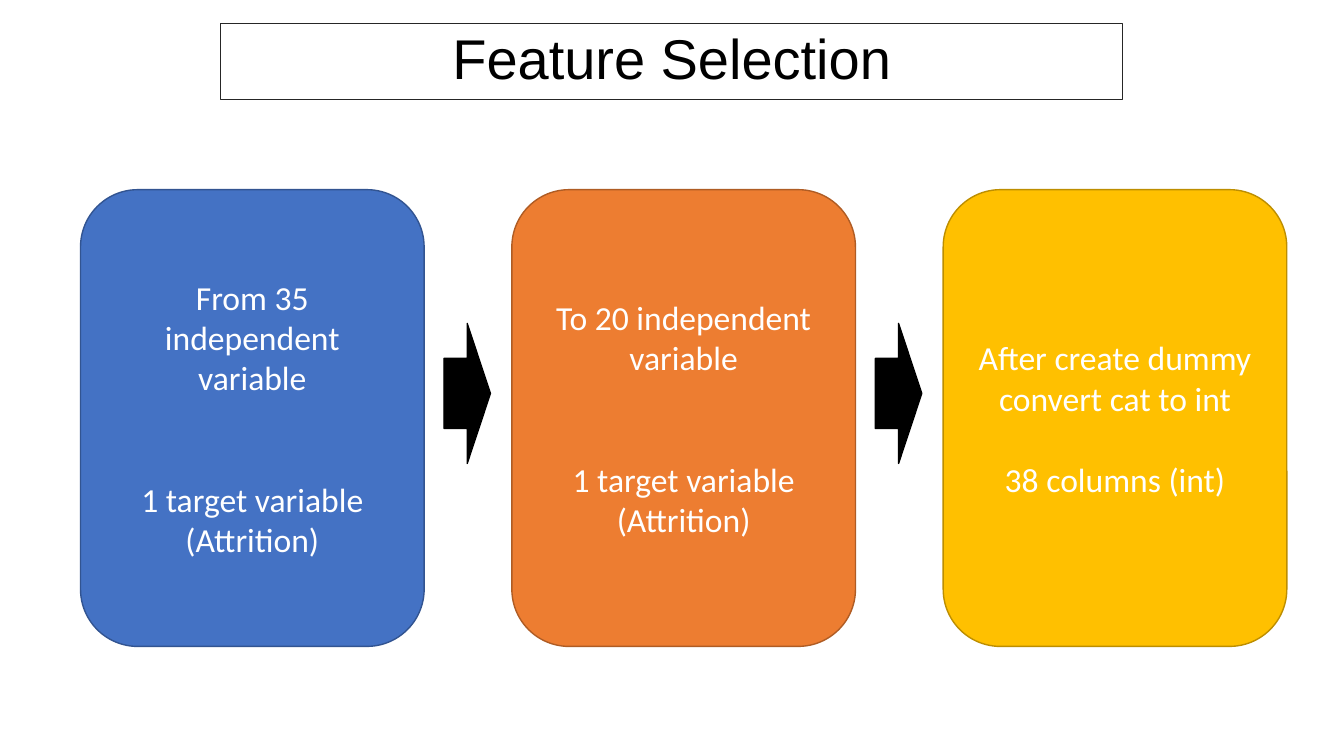
from dataclasses import dataclass

from pptx import Presentation
from pptx import util as u
from pptx.dml.color import RGBColor
from pptx.enum import shapes, text

WHITE = RGBColor(0xFF, 0xFF, 0xFF)
BLACK = RGBColor(0x00, 0x00, 0x00)
CHARCOAL = RGBColor(0x26, 0x26, 0x26)
BLUE = RGBColor(0x44, 0x72, 0xC4)
DARK_BLUE = RGBColor(0x32, 0x54, 0x91)
ORANGE = RGBColor(0xED, 0x7D, 0x31)
DARK_ORANGE = RGBColor(0xAF, 0x5C, 0x24)
GOLD = RGBColor(0xFF, 0xC0, 0x00)
DARK_GOLD = RGBColor(0xBD, 0x8E, 0x00)

# Card grid and the arrows between the cards, in centimetres
CARD_LEFT, CARD_TOP, CARD_WIDTH, CARD_HEIGHT = 2.03, 4.78, 8.66, 11.51
CARD_PITCH = 10.87
ARROW_OFFSET, ARROW_TOP, ARROW_WIDTH, ARROW_HEIGHT = 9.16, 8.15, 1.17, 3.53

HEADING_FONT = {"name": "Arial", "size": u.Pt(40)}
CARD_FONT = {"name": "Calibri", "size": u.Pt(24)}


@dataclass(frozen=True)
class Stage:
    lines: tuple[str, ...]
    gap: float
    fill: RGBColor
    outline: RGBColor


STAGES = (
    Stage(("From 35 independent variable", "1 target variable (Attrition)"),
          58, BLUE, DARK_BLUE),
    Stage(("To 20 independent variable", "1 target variable (Attrition)"),
          58, ORANGE, DARK_ORANGE),
    Stage(("After create dummy convert cat to int", "38 columns (int)"),
          29, GOLD, DARK_GOLD),
)


def paint(shape, fill: RGBColor, outline: RGBColor, width: float) -> None:
    shape.fill.solid()
    shape.fill.fore_color.rgb = fill
    shape.line.color.rgb = outline
    shape.line.width = u.Pt(width)


def write(shape, lines: tuple[str, ...], font_values: dict, color: RGBColor,
          gap: float = 0, spacing: float = 1.0) -> None:
    frame = shape.text_frame
    frame.word_wrap = True
    frame.auto_size = text.MSO_AUTO_SIZE.NONE
    frame.vertical_anchor = text.MSO_ANCHOR.MIDDLE
    frame.text = "\n".join(lines)
    for index, paragraph in enumerate(frame.paragraphs):
        paragraph.alignment = text.PP_ALIGN.CENTER
        paragraph.line_spacing = spacing
        paragraph.space_before = u.Pt(gap if index else 0)
        font = paragraph.runs[0].font
        for name, value in font_values.items():
            setattr(font, name, value)
        font.color.rgb = color


def add_block(slide, kind: shapes.MSO_SHAPE, left: float, top: float,
              width: float, height: float, fill: RGBColor, outline: RGBColor):
    block = slide.shapes.add_shape(
        kind, u.Cm(left), u.Cm(top), u.Cm(width), u.Cm(height))
    block.shadow.inherit = False
    paint(block, fill, outline, 1)
    return block


def main() -> None:
    deck = Presentation()
    deck.slide_width, deck.slide_height = u.Cm(33.87), u.Cm(19.05)
    slide = deck.slides.add_slide(deck.slide_layouts.get_by_name("Title Only"))

    # Heading
    heading = slide.shapes.title
    heading.left, heading.top = u.Cm(5.56), u.Cm(0.58)
    heading.width, heading.height = u.Cm(22.73), u.Cm(1.93)
    paint(heading, WHITE, CHARCOAL, 0.75)
    write(heading, ("Feature Selection",), HEADING_FONT, BLACK, spacing=0.9)

    # Stages, each followed by an arrow except the last
    for index, stage in enumerate(STAGES):
        left = CARD_LEFT + index * CARD_PITCH
        card = add_block(slide, shapes.MSO_SHAPE.ROUNDED_RECTANGLE, left,
                         CARD_TOP, CARD_WIDTH, CARD_HEIGHT,
                         stage.fill, stage.outline)
        write(card, stage.lines, CARD_FONT, WHITE, stage.gap)
        if index < len(STAGES) - 1:
            add_block(slide, shapes.MSO_SHAPE.RIGHT_ARROW, left + ARROW_OFFSET,
                      ARROW_TOP, ARROW_WIDTH, ARROW_HEIGHT, BLACK, BLACK)

    deck.save("out.pptx")


if __name__ == "__main__":
    main()
